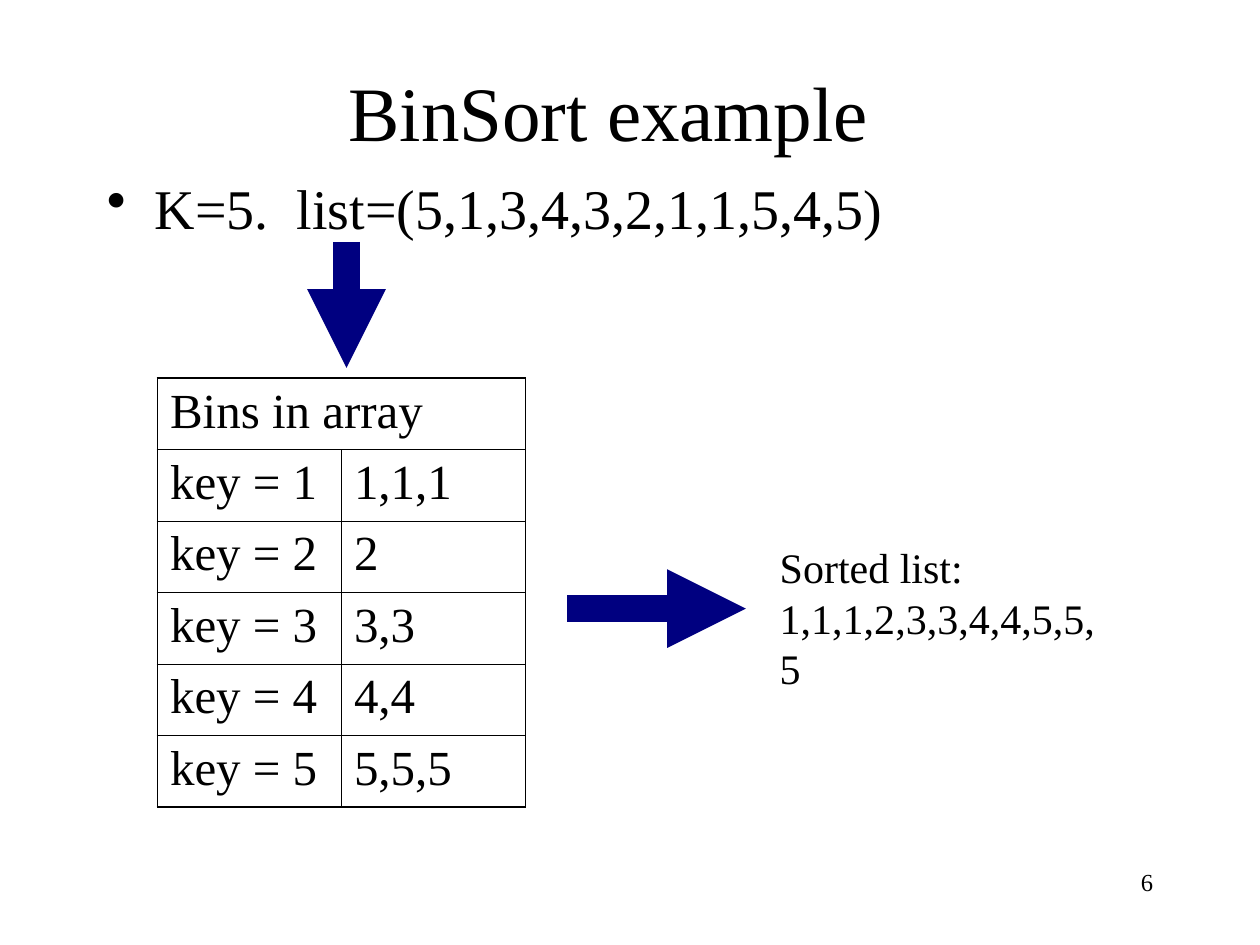
import pptx
import pptx.dml.color
import pptx.enum.shapes
import pptx.enum.text
import pptx.oxml
import pptx.oxml.ns
import pptx.util
from pptx.util import Inches

FONT = "Times New Roman"
BLACK = "000000"
NAVY = "000080"
ALIGN = pptx.enum.text.PP_ALIGN
ANCHOR = pptx.enum.text.MSO_ANCHOR
BINS = ["1,1,1", "2", "3,3", "4,4", "5,5,5"]


def colour(value):
    return pptx.dml.color.RGBColor.from_string(value)


def add_element(parent, tag, **attributes):
    element = pptx.oxml.parse_xml(f"<a:{tag} {pptx.oxml.ns.nsdecls('a')}/>")
    for name, value in attributes.items():
        element.set(name, str(value))
    parent.append(element)
    return element


def write(para, text, size, align=ALIGN.LEFT, before=0):
    para.alignment = align
    para.space_before = pptx.util.Pt(before)
    span = para.add_run()
    span.text = text
    span.font.name = FONT
    span.font.size = pptx.util.Pt(size)
    span.font.color.rgb = colour(BLACK)


def set_title(page, text):
    box = page.shapes.title
    box.left, box.top = Inches(0.58), Inches(0.25)
    box.width, box.height = Inches(8.5), Inches(1.25)
    box.text_frame.vertical_anchor = ANCHOR.MIDDLE
    write(box.text_frame.paragraphs[0], text, 44, ALIGN.CENTER)


def add_text(page, place, lines, size, align=ALIGN.LEFT, before=0, wrap=True):
    box = page.shapes.add_textbox(*map(Inches, place))
    frame = box.text_frame
    frame.word_wrap = wrap
    for index, line in enumerate(lines):
        para = frame.add_paragraph() if index else frame.paragraphs[0]
        write(para, line, size, align, before)
    return frame


def add_bullet(para):
    properties = para._p.get_or_add_pPr()
    properties.set("marL", str(Inches(0.38)))
    properties.set("indent", str(-Inches(0.38)))
    add_element(properties, "buChar", char="•")


def set_borders(cell, outer_sides):
    properties = cell._tc.get_or_add_tcPr()
    for side in "LRTB":
        weight = 1.08 if side in outer_sides else 0.45
        line = add_element(properties, f"ln{side}", w=pptx.util.Pt(weight))
        add_element(add_element(line, "solidFill"), "srgbClr", val=BLACK)
    cell.fill.background()


def add_bins(page, heading, bins):
    rows = [(heading, "")] + [(f"key = {key}", items) for key, items in enumerate(bins, 1)]
    place = map(Inches, (1.25, 3, 2.92, 3.4))
    table = page.shapes.add_table(len(rows), 2, *place).table
    table.first_row = table.horz_banding = False
    table.cell(0, 0).merge(table.cell(0, 1))
    for row, texts in enumerate(rows):
        for column, text in enumerate(texts):
            cell = table.cell(row, column)
            outer = "R" if column else "L"
            if row == 0:
                outer = "LRT"
            elif row == len(rows) - 1:
                outer += "B"
            set_borders(cell, outer)
            if text:
                write(cell.text_frame.paragraphs[0], text, 28, before=7)


def add_arrow(page, start, end):
    arrow = page.shapes.add_connector(
        pptx.enum.shapes.MSO_CONNECTOR.STRAIGHT, *map(Inches, start + end)
    )
    arrow.line.color.rgb = colour(NAVY)
    arrow.line.width = pptx.util.Pt(15)
    add_element(arrow.line._get_or_add_ln(), "tailEnd", type="triangle")
    add_element(arrow._element.spPr, "effectLst")


def main():
    deck = pptx.Presentation()
    deck.slide_width, deck.slide_height = Inches(10), Inches(7.5)
    page = deck.slides.add_slide(deck.slide_layouts[5])
    add_text(page, (7.17, 6.83, 2.08, 0.5), ["6"], 14, ALIGN.RIGHT)
    set_title(page, "BinSort example")
    body = add_text(
        page, (0.75, 1.33, 8.5, 4.5), ["K=5.  list=(5,1,3,4,3,2,1,1,5,4,5)"], 32, before=8
    )
    add_bullet(body.paragraphs[0])
    add_bins(page, "Bins in array", BINS)
    add_text(
        page, (6.09, 4.25, 2.86, 0.9), ["Sorted list:", "1,1,1,2,3,3,4,4,5,5,5"], 24, wrap=False
    )
    add_arrow(page, (2.75, 1.92), (2.75, 2.92))
    add_arrow(page, (4.5, 4.83), (5.92, 4.83))
    deck.save("out.pptx")


if __name__ == "__main__":
    main()
